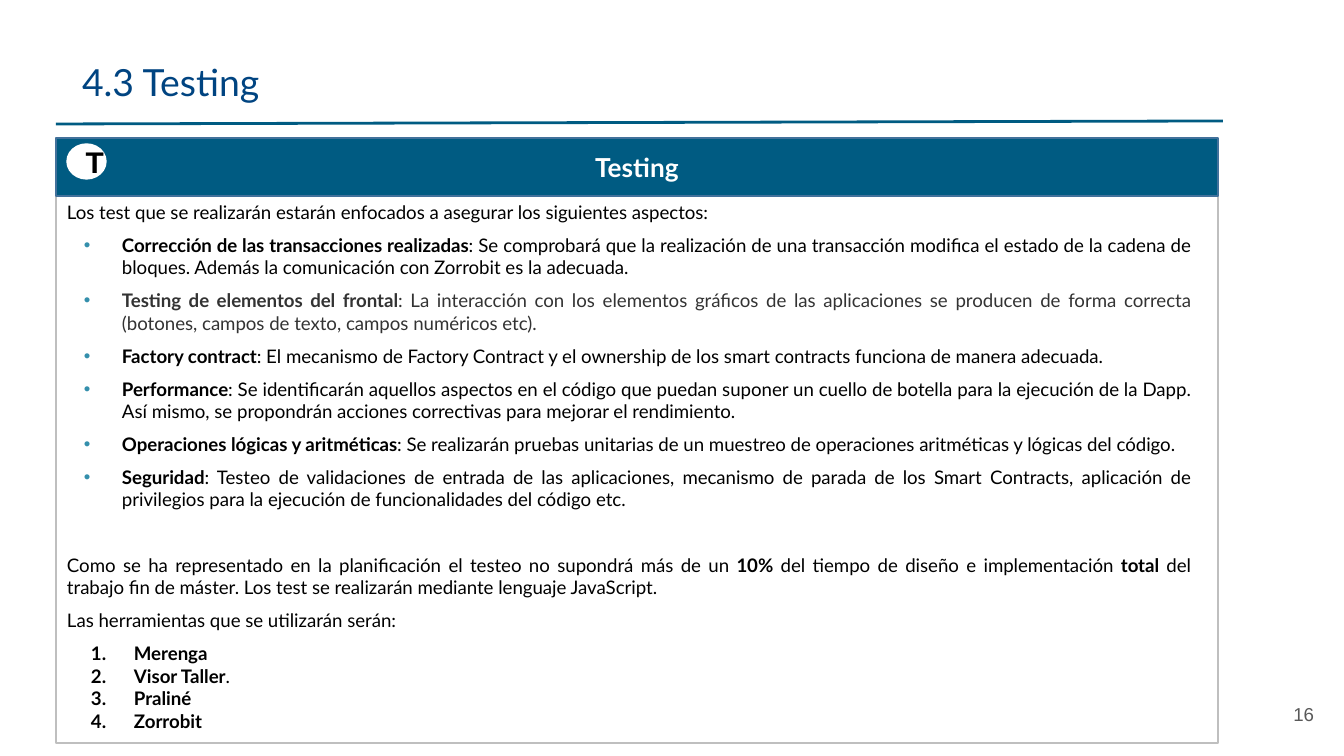
from dataclasses import dataclass

from lxml import etree
from pptx import Presentation, util as u
from pptx.dml.color import RGBColor
from pptx.enum import shapes, text
from pptx.oxml import ns

PX = 914400 / 134.4
ALIGN, ANCHOR = text.PP_ALIGN, text.MSO_ANCHOR


@dataclass(frozen=True)
class Theme:
    font: str = "Lato"
    plain_font: str = "Arial"
    title: str = "004481"
    band: str = "005B82"
    band_line: str = "42719B"
    box_line: str = "BFBFBF"
    bullet: str = "348FAC"
    white: str = "FFFFFF"
    black: str = "000000"
    grey: str = "333333"
    number: str = "595959"
    title_size: int = 20
    badge_size: int = 16
    band_size: int = 14
    body_size: int = 10


T = Theme()

LEFT, WIDTH = 56, 1162
BULLET = {"left": 55, "hang": -38, "kind": "a:buChar", "value": {"char": "•"}, "color": T.bullet}
NUMBER = {"left": 67, "hang": -43, "kind": "a:buAutoNum", "value": {"type": "arabicPeriod"},
          "color": T.black}
PLAIN = {"left": 0, "hang": 0, "kind": "a:buNone", "value": {}, "color": None}
GAP = u.Pt(5.6)
SECTION_GAP = u.Pt(23.2)

INTRO = "Los test que se realizarán estarán enfocados a asegurar los siguientes aspectos:"
ASPECTS = [
    ("Corrección de las transacciones realizadas",
     "Se comprobará que la realización de una transacción modifica el estado de la cadena de "
     "bloques. Además la comunicación con Zorrobit es la adecuada.", T.black),
    ("Testing de elementos del frontal",
     "La interacción con los elementos gráficos de las aplicaciones se producen de forma correcta "
     "(botones, campos de texto, campos numéricos etc).", T.grey),
    ("Factory contract",
     "El mecanismo de Factory Contract y el ownership de los smart contracts funciona de manera "
     "adecuada.", T.black),
    ("Performance",
     "Se identificarán aquellos aspectos en el código que puedan suponer un cuello de botella para "
     "la ejecución de la Dapp. Así mismo, se propondrán acciones correctivas para mejorar el "
     "rendimiento.", T.black),
    ("Operaciones lógicas y aritméticas",
     "Se realizarán pruebas unitarias de un muestreo de operaciones aritméticas y lógicas del "
     "código.", T.black),
    ("Seguridad",
     "Testeo de validaciones de entrada de las aplicaciones, mecanismo de parada de los Smart "
     "Contracts, aplicación de privilegios para la ejecución de funcionalidades del código etc.",
     T.black),
]
PLANNING = ("Como se ha representado en la planificación el testeo no supondrá más de un **10%** del "
            "tiempo de diseño e implementación **total **del trabajo fin de máster. Los test se "
            "realizarán mediante lenguaje JavaScript.")
TOOLS_INTRO = "Las herramientas que se utilizarán serán:"
TOOLS = ["**Merenga**", "**Visor Taller**.", "**Praliné**", "**Zorrobit**"]


def px(n):
    return u.Emu(round(n * PX))


def set_all(obj, values):
    for name, value in values.items():
        setattr(obj, name, value)


def place(sp, x, y, w, h):
    set_all(sp, {"left": px(x), "top": px(y), "width": px(w), "height": px(h)})


def paint(sp, fill, line, points):
    sp.fill.solid()
    sp.fill.fore_color.rgb = RGBColor.from_string(fill)
    sp.line.color.rgb = RGBColor.from_string(line)
    sp.line.width = u.Pt(points)


def set_frame(tf, insets, anchor):
    """Set the insets (left, top, right, bottom) and the anchor."""
    sides = ("margin_left", "margin_top", "margin_right", "margin_bottom")
    set_all(tf, dict(zip(sides, map(px, insets))))
    set_all(tf, {"word_wrap": True, "auto_size": text.MSO_AUTO_SIZE.NONE,
                 "vertical_anchor": anchor})


def write(p, words, size, color, font=T.font, **layout):
    """Fill a paragraph; words between ** marks are bold."""
    set_all(p, layout)
    for i, part in enumerate(words.split("**")):
        if part:
            r = p.add_run()
            r.text = part
            set_all(r.font, {"name": font, "size": u.Pt(size), "bold": i % 2 == 1})
            r.font.color.rgb = RGBColor.from_string(color)


def set_list(p, style):
    """Set the indent and the bullet or number of a paragraph."""
    pPr = p._p.get_or_add_pPr()
    pPr.set("marL", str(px(style["left"])))
    pPr.set("indent", str(px(style["hang"])))
    if style["color"]:
        clr = etree.SubElement(pPr, ns.qn("a:buClr"))
        etree.SubElement(clr, ns.qn("a:srgbClr"), val=style["color"])
    etree.SubElement(pPr, ns.qn(style["kind"]), **style["value"])


def add_title(s, words):
    sp = s.shapes.title
    place(sp, 26, 39, 1173, 87)
    set_frame(sp.text_frame, (13, 13, 13, 13), ANCHOR.TOP)
    p = sp.text_frame.paragraphs[0]
    write(p, words, T.title_size, T.title, alignment=ALIGN.LEFT, line_spacing=1.15,
          space_before=u.Pt(0), space_after=u.Pt(11))
    set_list(p, {**PLAIN, "left": 43})


def add_rule(s, x1, y1, x2, y2):
    line = s.shapes.add_connector(shapes.MSO_CONNECTOR.STRAIGHT, px(x1), px(y1), px(x2), px(y2))
    line.line.color.rgb = RGBColor.from_string(T.band)
    line.line.width = u.Pt(1.5)
    etree.SubElement(line._element.spPr, ns.qn("a:effectLst"))


def add_label(s, kind, box, words, colors, points, size, color, font, alignment):
    """Add a filled shape with one line of text."""
    sp = s.shapes.add_shape(kind, *map(px, box))
    sp.shadow.inherit = False
    paint(sp, *colors, points)
    set_frame(sp.text_frame, (13, 7, 13, 7), ANCHOR.MIDDLE)
    write(sp.text_frame.paragraphs[0], words, size, color, font, alignment=alignment)


def add_body(s):
    sp = s.placeholders[1]
    place(sp, LEFT, 196, WIDTH, 547)
    paint(sp, T.white, T.box_line, 0.75)
    tf = sp.text_frame
    set_frame(tf, (11, 5, 27, 0), ANCHOR.TOP)
    rows = [(INTRO, PLAIN, GAP, T.black)]
    rows += [(f"**{name}**: {detail}", BULLET, GAP, color) for name, detail, color in ASPECTS]
    rows += [(PLANNING, PLAIN, SECTION_GAP, T.black), (TOOLS_INTRO, PLAIN, GAP, T.black)]
    rows += [(tool, NUMBER, u.Pt(0) if i else GAP, T.black) for i, tool in enumerate(TOOLS)]
    for i, (words, style, gap, color) in enumerate(rows):
        p = tf.add_paragraph() if i else tf.paragraphs[0]
        write(p, words, T.body_size, color, alignment=ALIGN.JUSTIFY, space_before=gap)
        set_list(p, style)


def add_page_number(s, number):
    tf = s.shapes.add_textbox(*map(px, (1246, 685, 81, 58))).text_frame
    set_frame(tf, (13, 13, 13, 13), ANCHOR.MIDDLE)
    write(tf.paragraphs[0], number, T.body_size, T.number, T.plain_font, alignment=ALIGN.RIGHT)


def main():
    prs = Presentation()
    set_all(prs, {"slide_width": px(1344), "slide_height": px(756)})
    s = prs.slides.add_slide(prs.slide_layouts[1])
    add_title(s, "4.3 Testing")
    add_body(s)
    add_rule(s, LEFT, 124, 1223, 121)
    add_label(s, shapes.MSO_SHAPE.RECTANGLE, (LEFT, 138, WIDTH, 58), "**Testing**",
              (T.band, T.band_line), 1, T.band_size, T.white, T.font, ALIGN.CENTER)
    add_label(s, shapes.MSO_SHAPE.OVAL, (67, 144, 39, 35), "**T**",
              (T.white, T.white), 0.75, T.badge_size, T.black, T.plain_font, ALIGN.LEFT)
    add_page_number(s, "16")
    prs.save("out.pptx")


if __name__ == "__main__":
    main()
